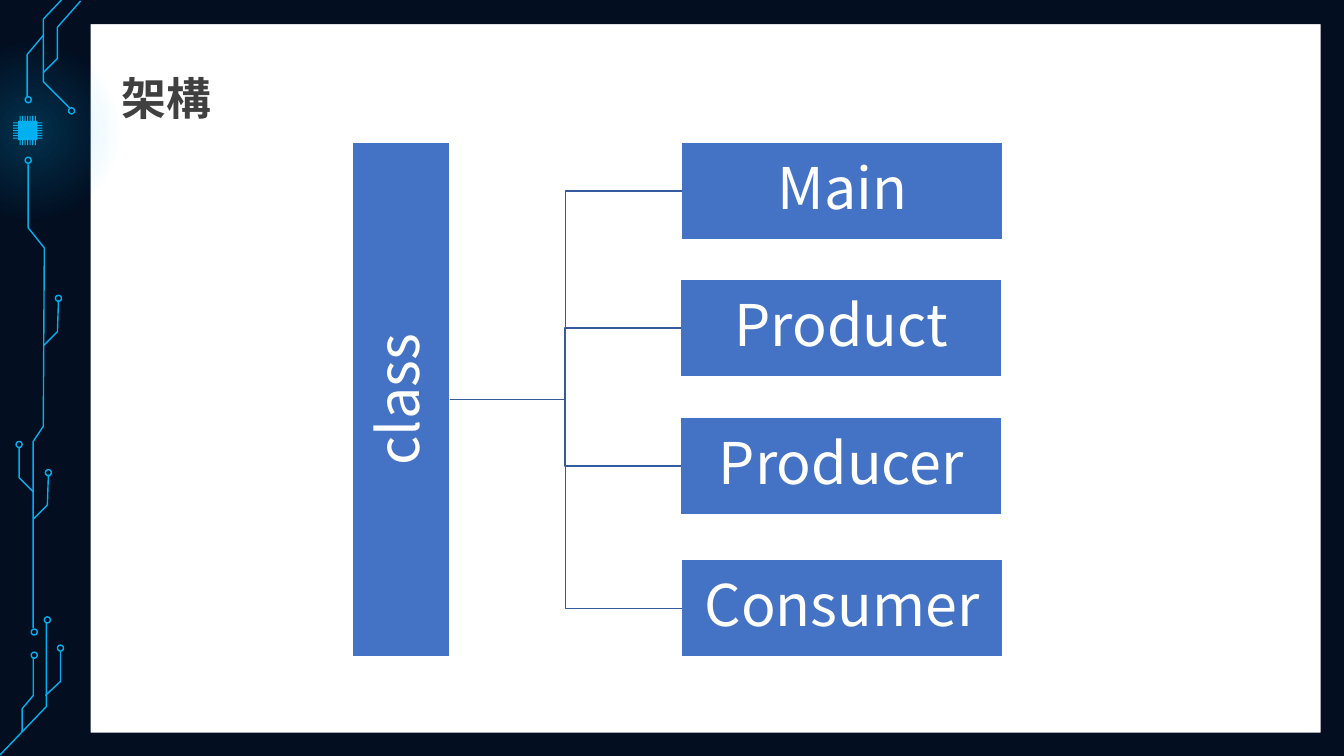
from dataclasses import dataclass

from lxml.etree import SubElement
from pptx import Presentation
from pptx.dml.color import RGBColor
from pptx.enum.shapes import MSO_CONNECTOR, MSO_SHAPE
from pptx.enum.text import MSO_ANCHOR, MSO_AUTO_SIZE, PP_ALIGN
from pptx.oxml import parse_xml
from pptx.oxml.ns import nsdecls, qn
from pptx.util import Inches, Pt


@dataclass(frozen=True)
class Theme:
    navy: RGBColor = RGBColor(0x03, 0x0E, 0x20)
    cyan: RGBColor = RGBColor(0x00, 0xB0, 0xF0)
    blue: RGBColor = RGBColor(0x44, 0x72, 0xC4)
    branch: RGBColor = RGBColor(0x36, 0x5B, 0x9D)
    gray: RGBColor = RGBColor(0x40, 0x40, 0x40)
    white: RGBColor = RGBColor(0xFF, 0xFF, 0xFF)
    title_size: Pt = Pt(32)
    box_size: Pt = Pt(41)
    line_width: Pt = Pt(1)
    chinese_font: str = "Noto Sans CJK SC"
    box_font: str = "Noto Sans CJK KR"


theme = Theme()


def add_outline(shapes, contours, close):
    contours = [[(Inches(x), Inches(y)) for x, y in contour] for contour in contours]
    builder = shapes.build_freeform(*contours[0][0], scale=1.0)
    builder.add_line_segments(contours[0][1:], close=close)
    for contour in contours[1:]:
        builder.move_to(*contour[0])
        builder.add_line_segments(contour[1:], close=close)
    shape = builder.convert_to_shape()
    shape.shadow.inherit = False
    return shape


def add_text(paragraph, text, size, font_name, color, bold=False):
    run = paragraph.add_run()
    run.text = text
    run.font.size = size
    run.font.name = font_name
    run.font.bold = bold
    run.font.color.rgb = color
    SubElement(run.font._element, qn("a:ea")).set("typeface", font_name)


presentation = Presentation()
presentation.slide_width = Inches(13.33)
presentation.slide_height = Inches(7.5)
slide = presentation.slides.add_slide(presentation.slide_layouts[5])
shapes = slide.shapes

frame = add_outline(shapes, [
    [(0.9, 0.24), (0.9, 7.27), (13.1, 7.27), (13.1, 0.24)],
    [(0, 0), (13.33, 0), (13.33, 7.5), (0, 7.5)],
], True)
frame.fill.solid()
frame.fill.fore_color.rgb = theme.navy
frame.line.fill.background()

title = shapes.title
title.left, title.top = Inches(1.11), Inches(0.38)
title.width, title.height = Inches(1.14), Inches(0.91)
title.text_frame.auto_size = MSO_AUTO_SIZE.NONE
title.text_frame.vertical_anchor = MSO_ANCHOR.TOP
paragraph = title.text_frame.paragraphs[0]
paragraph.alignment = PP_ALIGN.LEFT
paragraph.line_spacing = 1.5
add_text(paragraph, "架構", theme.title_size, theme.chinese_font, theme.gray, True)

glow = shapes.add_shape(MSO_SHAPE.OVAL, Inches(-0.6), Inches(0.4), Inches(1.8), Inches(1.8))
glow.shadow.inherit = False
glow.line.fill.background()
stops = "".join(
    f'<a:gs pos="{position}"><a:srgbClr val="{theme.cyan}"><a:alpha val="{alpha}"/></a:srgbClr></a:gs>'
    for position, alpha in [(0, 22000), (70000, 0), (100000, 0)]
)
gradient = parse_xml(
    f'<a:gradFill {nsdecls("a")} rotWithShape="1"><a:gsLst>{stops}</a:gsLst>'
    '<a:path path="circle"><a:fillToRect l="50000" t="50000" r="50000" b="50000"/></a:path></a:gradFill>'
)
glow._element.spPr.find(qn("a:prstGeom")).addnext(gradient)

circuit_traces = [
    [(0.61, 0), (0.43, 0.19), (0.43, 0.81), (0.69, 1.07)],
    [(0.8, 0.01), (0.57, 0.27), (0.57, 0.58), (0.43, 0.72)],
    [(0.43, 0.35), (0.27, 0.54), (0.27, 0.96)],
    [(0.46, 6.18), (0.46, 7.01), (0, 7.49)],
    [(0.6, 6.46), (0.6, 6.76), (0.45, 6.9)],
    [(0.33, 6.52), (0.33, 6.9), (0.22, 7.03), (0.22, 7.26)],
    [(0.28, 1.63), (0.28, 2.26), (0.44, 2.46), (0.43, 4.23), (0.33, 4.38), (0.33, 6.23)],
    [(0.58, 2.98), (0.57, 3.29), (0.43, 3.43)],
    [(0.48, 4.71), (0.47, 5.01), (0.33, 5.15)],
    [(0.19, 4.44), (0.19, 4.74), (0.33, 4.88)],
]
circuit_nodes = [
    (0.68, 1.07), (0.25, 0.96), (0.44, 6.12), (0.31, 6.47), (0.57, 6.4),
    (0.25, 1.56), (0.31, 6.24), (0.55, 2.93), (0.45, 4.66), (0.16, 4.38),
]
circuit = [add_outline(shapes, [trace], False) for trace in circuit_traces]
for left, top in circuit_nodes:
    node = shapes.add_shape(MSO_SHAPE.OVAL, Inches(left), Inches(top), Inches(0.06), Inches(0.06))
    node.shadow.inherit = False
    circuit.append(node)
for shape in circuit:
    shape.fill.background()
    shape.line.color.rgb = theme.cyan
    shape.line.width = theme.line_width

chip_side = []
for pin in range(-3, 4):
    left, right = pin * 0.025 - 0.005, pin * 0.025 + 0.005
    chip_side += [(left, -0.095), (left, -0.145), (right, -0.145), (right, -0.095)]
chip_side.append((0.095, -0.095))
chip_outline = []
for quarter in range(4):
    chip_outline += [(0.275 + x, 1.295 + y) for x, y in chip_side]
    chip_side = [(-y, x) for x, y in chip_side]
chip = add_outline(shapes, [chip_outline], True)
chip.fill.solid()
chip.fill.fore_color.rgb = theme.cyan
chip.line.fill.background()

class_boxes = [
    ("class", 3.49, 1.41, 0.97, 5.11, theme.chinese_font),
    ("Main", 6.76, 1.41, 3.19, 0.97, theme.box_font),
    ("Product", 6.75, 2.77, 3.19, 0.97, theme.box_font),
    ("Producer", 6.75, 4.14, 3.19, 0.97, theme.box_font),
    ("Consumer", 6.76, 5.55, 3.19, 0.97, theme.box_font),
]
boxes = []
for name, left, top, width, height, font_name in class_boxes:
    box = shapes.add_shape(MSO_SHAPE.RECTANGLE, Inches(left), Inches(top), Inches(width), Inches(height))
    box.shadow.inherit = False
    box.fill.solid()
    box.fill.fore_color.rgb = theme.blue
    box.line.color.rgb = theme.white
    box.line.width = theme.line_width
    text_frame = box.text_frame
    text_frame.word_wrap = True
    text_frame.vertical_anchor = MSO_ANCHOR.MIDDLE
    text_frame.margin_left = text_frame.margin_right = Inches(0.03)
    text_frame.margin_top = text_frame.margin_bottom = Inches(0.03)
    paragraph = text_frame.paragraphs[0]
    paragraph.alignment = PP_ALIGN.CENTER
    paragraph.line_spacing = 0.9
    add_text(paragraph, name, theme.box_size, font_name, theme.white)
    boxes.append(box)

root, *children = boxes
root.text_frame._txBody.bodyPr.set("vert", "vert270")
for child in children:
    connector = shapes.add_connector(MSO_CONNECTOR.ELBOW, 0, 0, 0, 0)
    connector.begin_connect(root, 3)
    connector.end_connect(child, 1)
    connector.line.color.rgb = theme.branch
    connector.line.width = theme.line_width
    SubElement(connector._element.spPr, qn("a:effectLst"))

presentation.save("out.pptx")
